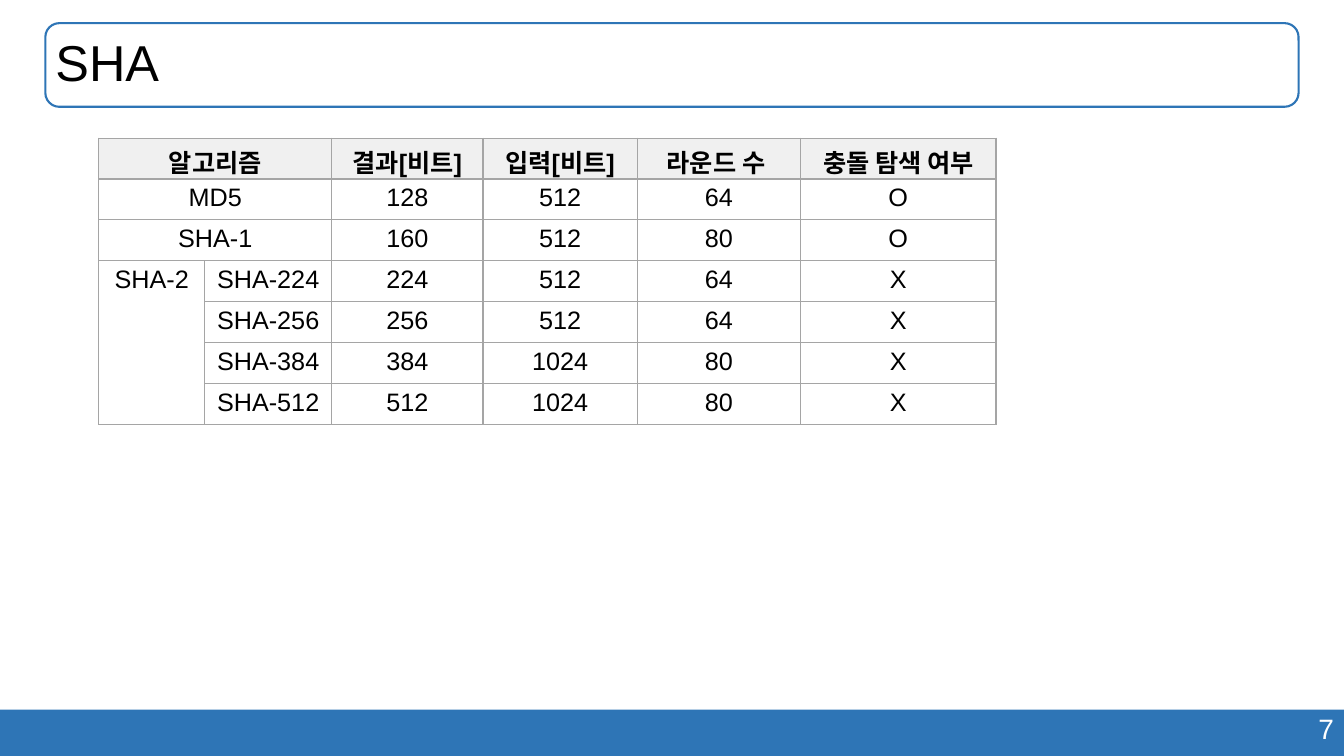
from dataclasses import dataclass

from lxml.etree import SubElement
from pptx import Presentation
from pptx.dml.color import RGBColor
from pptx.enum.shapes import MSO_SHAPE as Preset
from pptx.enum.text import MSO_ANCHOR as Anchor, PP_ALIGN as Align
from pptx.oxml.ns import qn
from pptx.util import Inches, Pt


@dataclass(frozen=True)
class Theme:
    font: str = "Arial"
    blue: str = "2E75B6"
    black: str = "000000"
    white: str = "FFFFFF"
    header_fill: str = "F0F0F0"
    grid: str = "A5A5A5"
    title_size: int = 36
    number_size: int = 20
    table_size: int = 18


@dataclass(frozen=True)
class Box:
    left: float
    top: float
    width: float
    height: float

    def lengths(self) -> tuple:
        return tuple(map(Inches, (self.left, self.top, self.width, self.height)))


@dataclass(frozen=True)
class Algorithm:
    family: str
    variant: str
    output: str
    block: str
    rounds: str
    collision: str

    def texts(self) -> tuple:
        return (self.family, self.variant, self.output, self.block,
                self.rounds, self.collision)


THEME = Theme()
TITLE_BOX = Box(0.45, 0.23, 12.43, 0.83)
FOOTER_BAR = Box(0, 7.04, 13.33, 0.46)
NUMBER_BOX = Box(9.43, 7.01, 3.9, 0.44)
TABLE_BOX = Box(0.98, 1.37, 8.9, 2.84)
COLUMN_WIDTHS = (1.05, 1.26, 1.5, 1.53, 1.62, 1.94)
ROWS = (
    Algorithm("알고리즘", "", "결과[비트]", "입력[비트]", "라운드 수 ", "충돌 탐색 여부"),
    Algorithm("MD5", "", "128", "512", "64", "O"),
    Algorithm("SHA-1", "", "160", "512", "80", "O"),
    Algorithm("SHA-2", "SHA-224", "224", "512", "64", "X"),
    Algorithm("", "SHA-256", "256", "512", "64", "X"),
    Algorithm("", "SHA-384", "384", "1024", "80", "X"),
    Algorithm("", "SHA-512", "512", "1024", "80", "X"),
)


def write(frame, text: str, *, size: int, color: str = THEME.black,
          bold: bool = False, align=Align.LEFT, anchor=Anchor.TOP,
          spacing: float = 1.0) -> None:
    frame.word_wrap = True
    frame.vertical_anchor = anchor
    paragraph = frame.paragraphs[0]
    paragraph.alignment = align
    paragraph.line_spacing = spacing
    run = paragraph.add_run()
    run.text = text
    run.font.name = THEME.font
    run.font.size = Pt(size)
    run.font.bold = bold
    run.font.color.rgb = RGBColor.from_string(color)


def add_panel(slide, preset, box: Box, *, fill: str = "", line: str = "") -> None:
    panel = slide.shapes.add_shape(preset, *box.lengths())
    panel.shadow.inherit = False
    if fill:
        panel.fill.solid()
        panel.fill.fore_color.rgb = RGBColor.from_string(fill)
    else:
        panel.fill.background()
    if line:
        panel.line.color.rgb = RGBColor.from_string(line)
        panel.line.width = Pt(1.5)
    else:
        panel.line.fill.background()


def format_cell(cell, fill: str) -> None:
    # Borders come before the fill in the cell properties
    properties = cell._tc.get_or_add_tcPr()
    for side in ("a:lnL", "a:lnR", "a:lnT", "a:lnB"):
        border = SubElement(properties, qn(side), w=str(Pt(1)))
        SubElement(SubElement(border, qn("a:solidFill")), qn("a:srgbClr"), val=THEME.grid)
    cell.fill.solid()
    cell.fill.fore_color.rgb = RGBColor.from_string(fill)


def add_algorithm_table(slide) -> None:
    table = slide.shapes.add_table(
        len(ROWS), len(COLUMN_WIDTHS), *TABLE_BOX.lengths()).table
    for column, width in zip(table.columns, COLUMN_WIDTHS):
        column.width = Inches(width)
    for row, algorithm in enumerate(ROWS):
        header = row == 0
        for column, text in enumerate(algorithm.texts()):
            cell = table.cell(row, column)
            format_cell(cell, THEME.header_fill if header else THEME.white)
            if text:
                write(cell.text_frame, text, size=THEME.table_size,
                      bold=header, align=Align.CENTER)
        if algorithm.family and not algorithm.variant:
            table.cell(row, 0).merge(table.cell(row, 1))
    # The SHA-2 family spans all of its variants
    variants = [row for row, algorithm in enumerate(ROWS) if algorithm.variant]
    table.cell(variants[0], 0).merge(table.cell(variants[-1], 0))


deck = Presentation()
deck.slide_width, deck.slide_height = Inches(13.33), Inches(7.5)
slide = deck.slides.add_slide(deck.slide_layouts[5])

# Footer with page number
add_panel(slide, Preset.RECTANGLE, FOOTER_BAR, fill=THEME.blue)
page_number = slide.shapes.add_textbox(*NUMBER_BOX.lengths())
write(page_number.text_frame, "7", size=THEME.number_size,
      color=THEME.white, align=Align.RIGHT)

# Title in its rounded frame
add_panel(slide, Preset.ROUNDED_RECTANGLE, TITLE_BOX, line=THEME.blue)
title = slide.shapes.title
title.left, title.top, title.width, title.height = TITLE_BOX.lengths()
write(title.text_frame, "SHA", size=THEME.title_size,
      anchor=Anchor.MIDDLE, spacing=0.9)

# Hash algorithm comparison
add_algorithm_table(slide)

deck.save("out.pptx")
